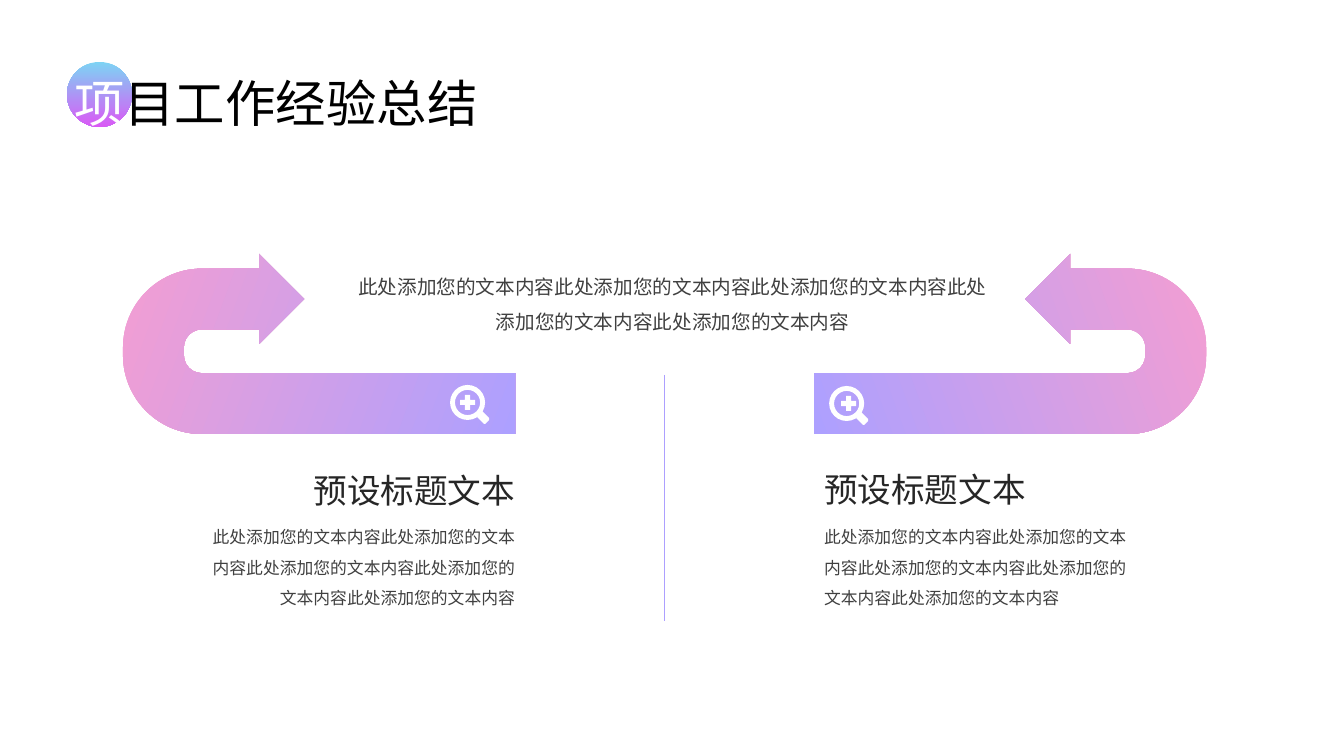
import pptx
import pptx.util
import pptx.dml.color
import pptx.enum.shapes
import pptx.enum.text
import pptx.oxml
import pptx.oxml.ns
import lxml.etree

FONT = "Noto Sans CJK SC"
HEX = {
    "white": "FFFFFF", "black": "000000", "head": "262626", "body": "404040",
    "pink": "F39ED2", "violet": "ADA0FF", "sky": "7DD3F4",
    "magenta": "DA59F5", "yellow": "FBE779",
}
TITLE = [("项", "white"), ("目工作经验总结", "black")]
HEAD = "预设标题文本"
BODY = "此处添加您的文本内容" * 5
TEXTS = [
    (BODY, (346, 258, 653, 78), 14, 1.5, "body", "CENTER"),
    (HEAD, (303, 465, 222, 50), 24, 1, "head", "RIGHT"),
    (BODY, (186, 512, 339, 102), 12, 1.5, "body", "RIGHT"),
    (HEAD, (814, 464, 222, 50), 24, 1, "head", "LEFT"),
    (BODY, (814, 512, 339, 102), 12, 1.5, "body", "LEFT"),
]
DISCS = [
    ((67, 62, 65, 65), ("sky", "magenta"), 270),
    ((433, 59, 56, 56), ("yellow", "violet"), 0),
]
ARROWS = [((229, 148, 180, 392), 270, False), ((920, 148, 180, 392), 90, True)]
BENDS = (0.338, 0.25, 0.25, 0.438, 0.462)
LENSES = [(450, 385, 10), (829, 386, 12)]
HANDLE = [(27, 32), (32, 26), (39, 33), (39, 35), (35, 39), (34, 39)]

SCALE = 914400 / 100.8
KIND = pptx.enum.shapes.MSO_SHAPE
ALIGN = pptx.enum.text.PP_ALIGN
qn = pptx.oxml.ns.qn


def emu(*nums):
    return [round(num * SCALE) for num in nums]


def rgb(name):
    return pptx.dml.color.RGBColor.from_string(HEX[name])


def paint(shape, names, angle=0):
    shape.shadow.inherit = False
    shape.line.fill.background()
    if len(names) == 1:
        shape.fill.solid()
        shape.fill.fore_color.rgb = rgb(names[0])
        return
    shape.fill.gradient()
    shape.fill.gradient_angle = angle
    for stop, name, place in zip(shape.fill.gradient_stops, names, (0, 1)):
        stop.color.rgb = rgb(name)
        stop.position = place


def draw(kind, box, names, angle=0):
    shape = slide.shapes.add_shape(kind, *emu(*box))
    paint(shape, names, angle)
    return shape


def write(shape, runs, size, space, align):
    frame = shape.text_frame
    frame.word_wrap = True
    frame.auto_size = pptx.enum.text.MSO_AUTO_SIZE.NONE
    frame.vertical_anchor = pptx.enum.text.MSO_ANCHOR.TOP
    para = frame.paragraphs[0]
    para.alignment = ALIGN[align]
    para.line_spacing = pptx.util.Pt(round(size * 1.2 * space, 1))
    para.font.size = pptx.util.Pt(size)
    para.font.name = FONT
    props = para._p.pPr.find(qn("a:defRPr"))
    lxml.etree.SubElement(props, qn("a:ea")).set("typeface", FONT)
    for text, name in runs:
        run = para.add_run()
        run.text = text
        run.font.color.rgb = rgb(name)


deck = pptx.Presentation()
deck.slide_width = pptx.util.Inches(13.33)
deck.slide_height = pptx.util.Inches(7.5)
slide = deck.slides.add_slide(deck.slide_layouts[5])

discs = [draw(KIND.OVAL, *disc) for disc in DISCS]
glow = discs[1]._element.spPr.find(qn("a:effectLst"))
soft = lxml.etree.SubElement(glow, qn("a:softEdge"))
soft.set("rad", str(pptx.util.Pt(15)))

title = slide.shapes.title
title.left, title.top, title.width, title.height = emu(64, 67, 440, 72)
write(title, TITLE, 36, 1, "LEFT")
discs[1]._element.addnext(title._element)

for box, turn, flip in ARROWS:
    arrow = draw(KIND.U_TURN_ARROW, box, ("pink", "violet"), 250)
    arrow.rotation = turn
    for spot, bend in enumerate(BENDS):
        arrow.adjustments[spot] = bend
    if flip:
        arrow._element.spPr.xfrm.set("flipH", "1")

rule = slide.shapes.add_connector(
    pptx.enum.shapes.MSO_CONNECTOR.STRAIGHT, *emu(664, 375, 664, 621))
rule.line.color.rgb = rgb("violet")
rule.line.width = pptx.util.Pt(0.5)
lxml.etree.SubElement(rule._element.spPr, qn("a:effectLst"))

for left, top, inset in LENSES:
    plus = draw(KIND.CROSS, (left + inset, top + 10, 15, 15), ["white"])
    plus.adjustments[0] = 0.33
    ring = draw(KIND.DONUT, (left, top, 35, 35), ["white"])
    ring.adjustments[0] = 0.14
    spots = [(left + x, top + y) for x, y in HANDLE]
    path = slide.shapes.build_freeform(*spots[0], scale=SCALE)
    path.add_line_segments(spots[1:], close=True)
    paint(path.convert_to_shape(), ["white"])

for text, box, size, space, name, align in TEXTS:
    label = slide.shapes.add_textbox(*emu(*box))
    write(label, [(text, name)], size, space, align)

deck.save("out.pptx")
